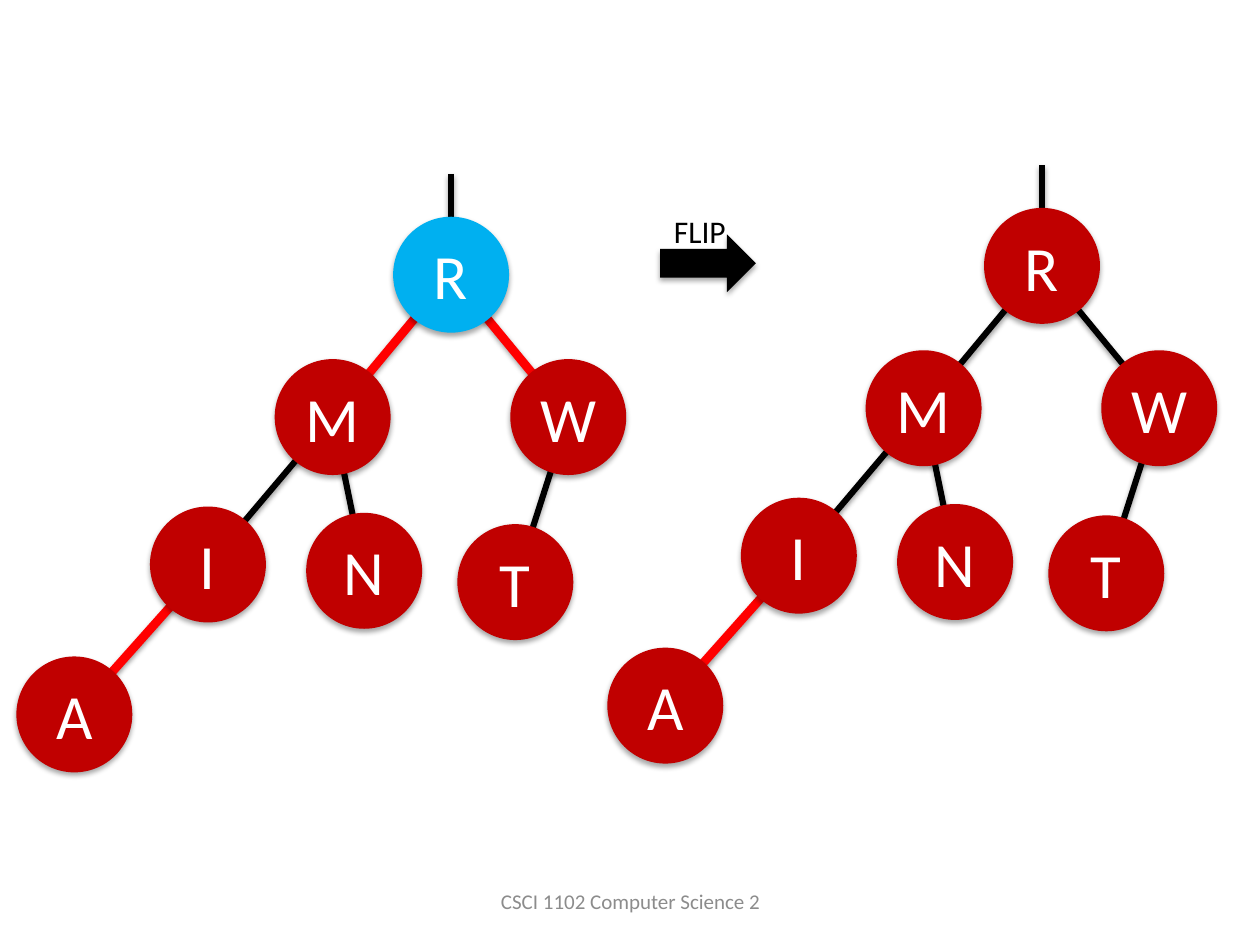
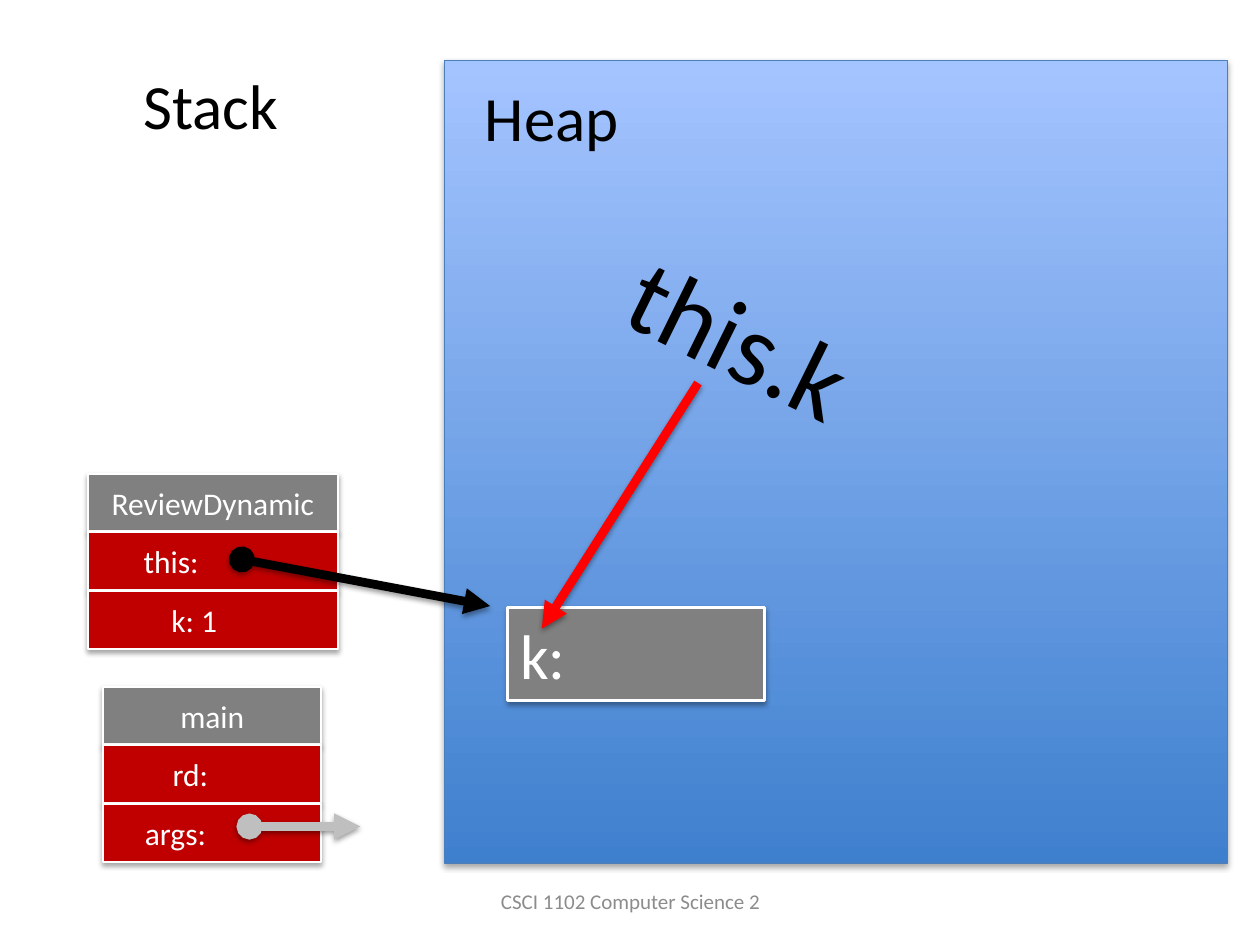
"""Build two slides: a red-black tree colour flip and a stack and heap diagram."""
from typing import NamedTuple

from lxml.etree import SubElement
from pptx import Presentation
from pptx.dml.color import RGBColor
from pptx.enum.shapes import MSO_CONNECTOR, MSO_SHAPE
from pptx.enum.text import MSO_ANCHOR, MSO_AUTO_SIZE, PP_ALIGN
from pptx.oxml.ns import qn
from pptx.shapes.autoshape import Shape
from pptx.shapes.base import BaseShape
from pptx.shapes.shapetree import GroupShapes, SlideShapes
from pptx.slide import Slide
from pptx.util import Inches, Pt

BLACK = RGBColor(0x00, 0x00, 0x00)
WHITE = RGBColor(0xFF, 0xFF, 0xFF)
RED = RGBColor(0xFF, 0x00, 0x00)
DARK_RED = RGBColor(0xC0, 0x00, 0x00)
SKY = RGBColor(0x00, 0xB0, 0xF0)
GRAY = RGBColor(0x80, 0x80, 0x80)
SILVER = RGBColor(0xBF, 0xBF, 0xBF)
FOOTER_GRAY = RGBColor(0x8C, 0x8C, 0x8C)
HEAP_BOTTOM = RGBColor(0x3F, 0x80, 0xCE)
HEAP_TOP = RGBColor(0xA4, 0xC4, 0xFF)
HEAP_EDGE = RGBColor(0x4B, 0x7E, 0xBC)

FONT = "Calibri"
FOOTER = "CSCI 1102 Computer Science 2"
NODE_SIZE = 0.92
STEM_RISE = 0.8
ROW_HEIGHT = 0.46
ROW_PITCH = 0.465
TEXT_INSET = 0.1

Shapes = SlideShapes | GroupShapes


class Point(NamedTuple):
    x: float
    y: float


class Box(NamedTuple):
    left: float
    top: float
    width: float
    height: float


class Tree(NamedTuple):
    shift: Point
    root_fill: RGBColor
    red_edges: tuple[str, ...]


class Label(NamedTuple):
    text: str
    box: Box
    size: int
    rotation: float = 0


class Field(NamedTuple):
    text: str
    indent: float


class Frame(NamedTuple):
    method: str
    left: float
    top: float
    width: float
    fields: tuple[Field, ...]


class Pointer(NamedTuple):
    start: Point
    end: Point
    color: RGBColor
    head: str = "none"


NODES = {
    "R": Point(3.58, 2.18),
    "M": Point(2.64, 3.31),
    "W": Point(4.51, 3.31),
    "I": Point(1.65, 4.48),
    "N": Point(2.89, 4.53),
    "T": Point(4.09, 4.62),
    "A": Point(0.59, 5.67),
}
EDGES = ("RM", "RW", "MI", "MN", "WT", "IA")
TREES = (
    Tree(Point(4.69, -0.07), DARK_RED, ("IA",)),
    Tree(Point(0, 0), SKY, ("RM", "RW", "IA")),
)
FLIP = Label("FLIP", Box(5.25, 1.63, 0.62, 0.4), 18)
HEADINGS = (
    Label("Heap", Box(3.75, 0.57, 1.27, 0.71), 36),
    Label("Stack", Box(1.04, 0.48, 1.28, 0.71), 36),
)
ACCESS = Label("this.k", Box(4.87, 2.12, 2.04, 1.11), 60, 26.2)
FRAMES = (
    Frame("main", 0.82, 5.45, 1.73, (Field("rd:", 0.45), Field("args:", 0.23))),
    Frame("ReviewDynamic", 0.7, 3.76, 1.98, (Field("this:", 0.34), Field("k: 1", 0.56))),
)
POINTERS = (
    Pointer(Point(1.98, 6.56), Point(2.86, 6.56), SILVER, "oval"),
    Pointer(Point(1.92, 4.44), Point(3.89, 4.81), BLACK, "oval"),
    Pointer(Point(5.54, 3.04), Point(4.3, 4.99), RED),
)


def cast_shadow(shape: BaseShape, distance: float, opacity: int) -> None:
    """Give a shape or connector a soft shadow straight below it."""
    effects = SubElement(shape._element.spPr, qn("a:effectLst"))
    shadow = SubElement(effects, qn("a:outerShdw"), blurRad=str(Pt(3.1)),
                        dist=str(Pt(distance)), dir="5400000", rotWithShape="0")
    tint = SubElement(shadow, qn("a:srgbClr"), val=str(BLACK))
    SubElement(tint, qn("a:alpha"), val=str(opacity * 1000))


def write(shape: Shape, text: str, size: int, color: RGBColor,
          align: PP_ALIGN = PP_ALIGN.LEFT) -> None:
    """Set the single paragraph of a shape and format its run."""
    shape.text_frame.text = text
    paragraph = shape.text_frame.paragraphs[0]
    paragraph.alignment = align
    font = paragraph.runs[0].font
    font.name, font.size, font.color.rgb = FONT, Pt(size), color


def add_block(shapes: Shapes, kind: MSO_SHAPE, box: Box, fill: RGBColor | None,
              outline: RGBColor | None = None, weight: float = 1.25) -> Shape:
    """Draw a shadowed preset shape, with the heap gradient if no fill is given."""
    block = shapes.add_shape(kind, *map(Inches, box))
    if fill is None:
        block.fill.gradient()
        block.fill.gradient_angle = 90
        for stop, color in zip(block.fill.gradient_stops, (HEAP_BOTTOM, HEAP_TOP)):
            stop.color.rgb = color
    else:
        block.fill.solid()
        block.fill.fore_color.rgb = fill
    if outline is None:
        block.line.fill.background()
    else:
        block.line.color.rgb = outline
        block.line.width = Pt(weight)
    cast_shadow(block, 1.8, 35)
    block.text_frame.vertical_anchor = MSO_ANCHOR.MIDDLE
    return block


def add_line(shapes: Shapes, start: Point, end: Point, color: RGBColor,
             weight: float, head: str = "none", tail: str = "none") -> None:
    """Draw a shadowed straight line with optional end marks."""
    line = shapes.add_connector(MSO_CONNECTOR.STRAIGHT, *map(Inches, (*start, *end)))
    line.line.color.rgb = color
    line.line.width = Pt(weight)
    stroke = line._element.spPr.find(qn("a:ln"))
    SubElement(stroke, qn("a:headEnd"), type=head)
    SubElement(stroke, qn("a:tailEnd"), type=tail)
    cast_shadow(line, 1.6, 38)


def add_label(shapes: Shapes, label: Label) -> None:
    """Place a free black label that fits its text."""
    caption = shapes.add_textbox(*map(Inches, label.box))
    caption.rotation = label.rotation
    caption.text_frame.word_wrap = False
    caption.text_frame.auto_size = MSO_AUTO_SIZE.SHAPE_TO_FIT_TEXT
    write(caption, label.text, label.size, BLACK)


def add_footer(slide: Slide) -> None:
    """Write the course name at the foot of a slide."""
    footer = slide.shapes.add_textbox(*map(Inches, (3.42, 6.95, 3.17, 0.4)))
    footer.text_frame.word_wrap = True
    footer.text_frame.vertical_anchor = MSO_ANCHOR.MIDDLE
    write(footer, FOOTER, 12, FOOTER_GRAY, PP_ALIGN.CENTER)


def add_tree(slide: Slide, tree: Tree) -> None:
    """Draw the edges of a tree, then its nodes on top."""
    shapes = slide.shapes.add_group_shape().shapes
    centers = {key: Point(node.x + tree.shift.x, node.y + tree.shift.y)
               for key, node in NODES.items()}
    root = centers["R"]
    add_line(shapes, Point(root.x, root.y - STEM_RISE), root, BLACK, 3.5)
    for edge in EDGES:
        parent, child = edge
        color, weight = (RED, 5) if edge in tree.red_edges else (BLACK, 3.5)
        add_line(shapes, centers[parent], centers[child], color, weight)
    for key, center in centers.items():
        box = Box(center.x - NODE_SIZE / 2, center.y - NODE_SIZE / 2, NODE_SIZE, NODE_SIZE)
        node = add_block(shapes, MSO_SHAPE.OVAL, box, tree.root_fill if key == "R" else DARK_RED)
        write(node, key, 36, WHITE, PP_ALIGN.CENTER)


def add_frame(slide: Slide, frame: Frame) -> None:
    """Draw a stack frame: the method name above its fields."""
    shapes = slide.shapes.add_group_shape().shapes
    for index, field in enumerate((Field(frame.method, 0), *frame.fields)):
        box = Box(frame.left, frame.top + index * ROW_PITCH, frame.width, ROW_HEIGHT)
        row = add_block(shapes, MSO_SHAPE.RECTANGLE, box, DARK_RED if index else GRAY, WHITE)
        row.text_frame.margin_left = Inches(TEXT_INSET + field.indent)
        write(row, field.text, 18, WHITE, PP_ALIGN.LEFT if index else PP_ALIGN.CENTER)


def build_flip(slide: Slide) -> None:
    """Show the tree before and after the colour flip."""
    add_footer(slide)
    flip = slide.shapes.add_group_shape().shapes
    add_block(flip, MSO_SHAPE.RIGHT_ARROW, Box(5.24, 1.86, 0.76, 0.46), BLACK)
    add_label(flip, FLIP)
    for tree in TREES:
        add_tree(slide, tree)


def build_memory(slide: Slide) -> None:
    """Show the stack frames pointing into the heap."""
    shapes = slide.shapes
    add_block(shapes, MSO_SHAPE.RECTANGLE, Box(3.53, 0.48, 6.21, 6.37), None, HEAP_EDGE, 0.75)
    add_footer(slide)
    for heading in HEADINGS:
        add_label(shapes, heading)
    for frame in FRAMES:
        add_frame(slide, frame)
    instance = add_block(shapes, MSO_SHAPE.RECTANGLE, Box(4.03, 4.82, 2.04, 0.74),
                         GRAY, WHITE, 1.5)
    write(instance, "k:", 36, WHITE)
    add_label(shapes, ACCESS)
    for pointer in POINTERS:
        add_line(shapes, pointer.start, pointer.end, pointer.color, 5, pointer.head, "triangle")


def main() -> None:
    """Build and save the presentation."""
    deck = Presentation()
    deck.slide_width, deck.slide_height = Inches(10), Inches(7.5)
    for build in (build_flip, build_memory):
        build(deck.slides.add_slide(deck.slide_layouts[6]))
    deck.save("out.pptx")


if __name__ == "__main__":
    main()
